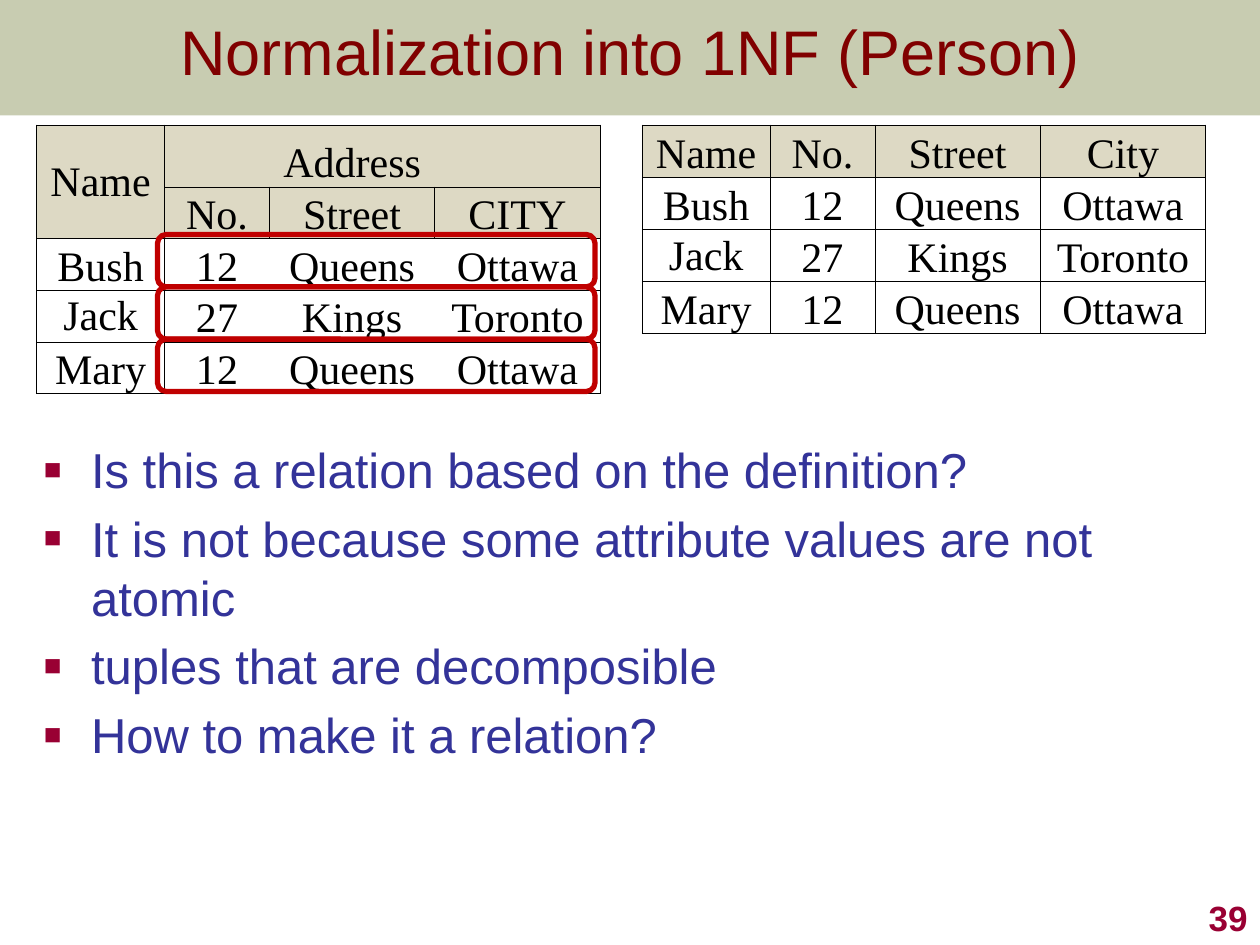
from pptx import Presentation
from pptx.dml.color import RGBColor
from pptx.enum.shapes import MSO_SHAPE
from pptx.enum.text import MSO_ANCHOR as Anchor, MSO_AUTO_SIZE, PP_ALIGN as Align
from pptx.oxml.ns import qn
from pptx.util import Pt
from lxml.etree import SubElement

COLORS = {
    "band": "677228", "title": "800000", "body": "333399", "accent": "990033",
    "header": "DDD9C4", "cell": "FFFFFF", "ink": "000000", "highlight": "C00000",
}
COLUMN_WIDTHS = [73, 60, 94.5, 94.5]
PEOPLE = [
    ["Bush", "12", "Queens", "Ottawa"],
    ["Jack", "27", "Kings", "Toronto"],
    ["Mary", "12", "Queens", "Ottawa"],
]
NESTED_HEADER = [["Name", "", "Address", ""], ["", "No.", "Street", "CITY"]]
FLAT_HEADER = [["Name", "No.", "Street", "City"]]
QUESTIONS = [
    "Is this a relation based on the definition?",
    "It is not because some attribute values are not atomic",
    "tuples that are decomposible",
    "How to make it a relation?",
]


class SlideBuilder:
    """Holds the style and the current slide, and draws each kind of element."""

    def __init__(self, slide):
        self.slide = slide
        self.font = "Arial"
        self.table_font = "Times New Roman"

    def color(self, name):
        return RGBColor.from_string(COLORS[name])

    def format(self, paragraph, size, color, align=Align.LEFT, bold=False, font=None):
        paragraph.alignment = align
        for run in paragraph.runs:
            run.font.name = font or self.font
            run.font.size = Pt(size)
            run.font.bold = bold
            run.font.color.rgb = self.color(color)

    def place(self, shape, left, top, width, height):
        shape.left, shape.top = Pt(left), Pt(top)
        shape.width, shape.height = Pt(width), Pt(height)

    def title(self, text, *box):
        title = self.slide.shapes.title
        self.place(title, *box)
        frame = title.text_frame
        frame.text = text
        frame.auto_size = MSO_AUTO_SIZE.NONE
        frame.vertical_anchor = Anchor.MIDDLE
        self.format(frame.paragraphs[0], 36, "title", Align.CENTER)

    def shape(self, kind, *box):
        shape = self.slide.shapes.add_shape(kind, *map(Pt, box))
        shape.shadow.inherit = False
        return shape

    def band(self, *box):
        band = self.shape(MSO_SHAPE.RECTANGLE, *box)
        band.line.fill.background()
        band.fill.solid()
        band.fill.fore_color.rgb = self.color("band")
        fill_color = band.element.spPr.find(qn("a:solidFill"))[0]
        SubElement(fill_color, qn("a:alpha"), val="36000")
        self.slide.shapes.title.element.addprevious(band.element)

    def outline(self, *box):
        outline = self.shape(MSO_SHAPE.ROUNDED_RECTANGLE, *box)
        outline.fill.background()
        outline.line.color.rgb = self.color("highlight")
        outline.line.width = Pt(3)

    def text_box(self, *box):
        frame = self.slide.shapes.add_textbox(*map(Pt, box)).text_frame
        frame.word_wrap = True
        return frame

    def bullets(self, lines, *box):
        frame = self.text_box(*box)
        frame.margin_right = 0
        frame.text = "\n".join(lines)
        for paragraph in frame.paragraphs:
            self.format(paragraph, 28, "body")
            paragraph.space_before = Pt(5.6)
            properties = paragraph._p.get_or_add_pPr()
            properties.set("marL", str(Pt(27)))
            properties.set("indent", str(-Pt(27)))
            bullet_color = SubElement(properties, qn("a:buClr"))
            SubElement(bullet_color, qn("a:srgbClr"), val=COLORS["accent"])
            SubElement(properties, qn("a:buSzPct"), val="60000")
            SubElement(properties, qn("a:buFont"), typeface=self.font)
            SubElement(properties, qn("a:buChar"), char="■")

    def page_number(self, text, *box):
        frame = self.text_box(*box)
        frame.text = text
        frame.vertical_anchor = Anchor.BOTTOM
        self.format(frame.paragraphs[0], 20, "accent", Align.RIGHT, bold=True)

    def borders(self, cell, hidden):
        properties = cell._tc.get_or_add_tcPr()
        for side in "LRTB":
            line = SubElement(properties, qn(f"a:ln{side}"), w=str(Pt(0.5)))
            if side in hidden:
                SubElement(line, qn("a:noFill"))
            else:
                fill = SubElement(line, qn("a:solidFill"))
                SubElement(fill, qn("a:srgbClr"), val=COLORS["ink"])

    def cell(self, cell, text, fill, anchor, hidden):
        cell.text = text
        cell.margin_left = cell.margin_right = cell.margin_top = Pt(0.7)
        cell.margin_bottom = 0
        cell.vertical_anchor = anchor
        self.format(cell.text_frame.paragraphs[0], 24, "ink", Align.CENTER, font=self.table_font)
        self.borders(cell, hidden)
        cell.fill.solid()
        cell.fill.fore_color.rgb = self.color(fill)

    def table(self, left, top, header, row_heights, nested=False):
        rows = header + PEOPLE
        box = (left, top, sum(COLUMN_WIDTHS), sum(row_heights))
        frame = self.slide.shapes.add_table(len(rows), len(COLUMN_WIDTHS), *map(Pt, box))
        table = frame.table
        table.first_row = table.horz_banding = False
        for column, width in zip(table.columns, COLUMN_WIDTHS):
            column.width = Pt(width)
        for row, height in zip(table.rows, row_heights):
            row.height = Pt(height)
        for r, row in enumerate(rows):
            joined = nested and r != 1
            for c, text in enumerate(row):
                hidden = ("L" if joined and c > 1 else "") + ("R" if joined and c in (1, 2) else "")
                middle = text == "Jack" or (nested and text == "Name")
                anchor = Anchor.MIDDLE if middle else Anchor.BOTTOM
                fill = "header" if r < len(header) else "cell"
                self.cell(table.cell(r, c), text, fill, anchor, hidden)
        if nested:
            table.cell(0, 0).merge(table.cell(1, 0))


def main():
    presentation = Presentation()
    presentation.slide_width, presentation.slide_height = Pt(720), Pt(540)
    builder = SlideBuilder(presentation.slides.add_slide(presentation.slide_layouts[5]))
    builder.title("Normalization into 1NF (Person)", 0, 0, 720, 57)
    builder.band(0, 0, 720, 66)
    builder.bullets(QUESTIONS, 18, 247.7, 653, 158.4)
    builder.table(367, 71.5, FLAT_HEADER, [29.75] * 4)
    builder.table(21, 71.5, NESTED_HEADER, [35.4, 28] + [27.5] * 3, nested=True)
    for index in range(len(PEOPLE)):
        builder.outline(90, 134 + 29.9 * index, 250, 29.9)
    builder.page_number("39", 570, 504, 150, 36)
    presentation.save("out.pptx")


if __name__ == "__main__":
    main()
